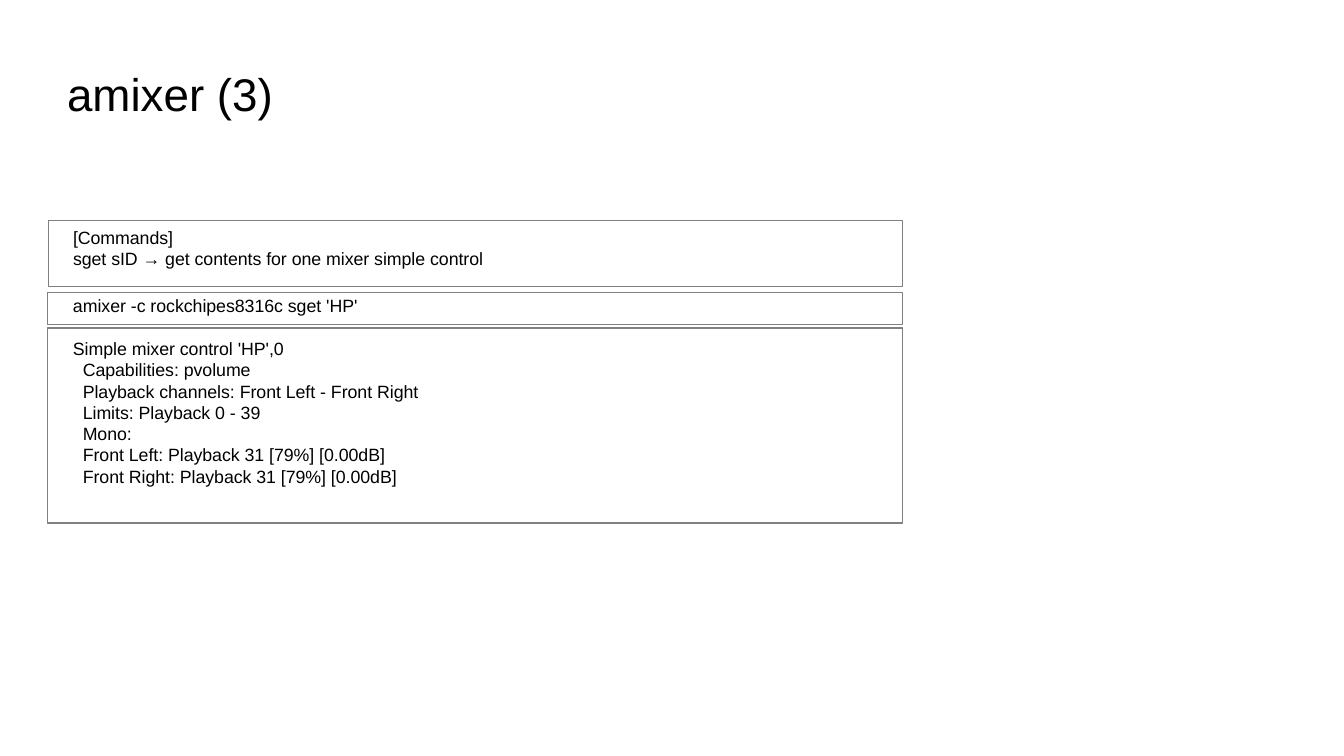
from pptx import Presentation
from pptx.dml.color import RGBColor
from pptx.enum.shapes import MSO_SHAPE
from pptx.enum.text import MSO_ANCHOR, PP_ALIGN
from pptx.util import Inches, Pt

SLIDE_WIDTH, SLIDE_HEIGHT = Inches(11.02), Inches(6.2)
BLACK = RGBColor(0x00, 0x00, 0x00)
GRAY = RGBColor(0x80, 0x80, 0x80)
FONT = "Arial"

# Boxes are left, top, width, height in percent of the slide.
TITLE_BOX = (4.99, 7.58, 71.42, 9.52)
TEXT_LEFT = 4.54

COMMANDS = """[Commands]
sget sID → get contents for one mixer simple control"""
CALL = "amixer -c rockchipes8316c sget 'HP'"
OUTPUT = """Simple mixer control 'HP',0
  Capabilities: pvolume
  Playback channels: Front Left - Front Right
  Limits: Playback 0 - 39
  Mono:
  Front Left: Playback 31 [79%] [0.00dB]
  Front Right: Playback 31 [79%] [0.00dB]"""

# Frame box, text shift below the frame top, text width, text height, text
PANELS = [
    ((3.63, 29.19, 63.52, 8.71), 0, 62.61, 7.9, COMMANDS),
    ((3.54, 38.71, 63.61, 4.19), -0.48, 42.65, 4.52, CALL),
    ((3.54, 43.39, 63.61, 25.81), 0.48, 49.36, 28.23, OUTPUT),
]


def to_lengths(box):
    """Turn percentages of the slide into lengths."""
    left, top, width, height = box
    return (int(SLIDE_WIDTH * left / 100), int(SLIDE_HEIGHT * top / 100),
            int(SLIDE_WIDTH * width / 100), int(SLIDE_HEIGHT * height / 100))


def add_text(slide, box, text, size, insets, anchor=MSO_ANCHOR.TOP):
    text_frame = slide.shapes.add_textbox(*to_lengths(box)).text_frame
    text_frame.word_wrap = True
    text_frame.vertical_anchor = anchor
    text_frame.margin_left = text_frame.margin_right = Inches(insets[0])
    text_frame.margin_top = text_frame.margin_bottom = Inches(insets[1])
    text_frame.text = text
    for paragraph in text_frame.paragraphs:
        paragraph.alignment = PP_ALIGN.LEFT
        for run in paragraph.runs:
            run.font.name = FONT
            run.font.size = Pt(size)
            run.font.color.rgb = BLACK


def add_panel(slide, box, text_shift, text_width, text_height, text):
    """Place a block of terminal text and the thin frame around it."""
    text_box = (TEXT_LEFT, box[1] + text_shift, text_width, text_height)
    add_text(slide, text_box, text, 10.5, (0.1, 0.05))
    frame = slide.shapes.add_shape(MSO_SHAPE.RECTANGLE, *to_lengths(box))
    frame.shadow.inherit = False
    frame.fill.background()
    frame.line.color.rgb = GRAY
    frame.line.width = Pt(0)


def main():
    presentation = Presentation()
    presentation.slide_width = SLIDE_WIDTH
    presentation.slide_height = SLIDE_HEIGHT
    slide = presentation.slides.add_slide(presentation.slide_layouts[6])
    add_text(slide, TITLE_BOX, "amixer (3)", 27, (0, 0), MSO_ANCHOR.MIDDLE)
    for panel in PANELS:
        add_panel(slide, *panel)
    presentation.save("out.pptx")


if __name__ == "__main__":
    main()
